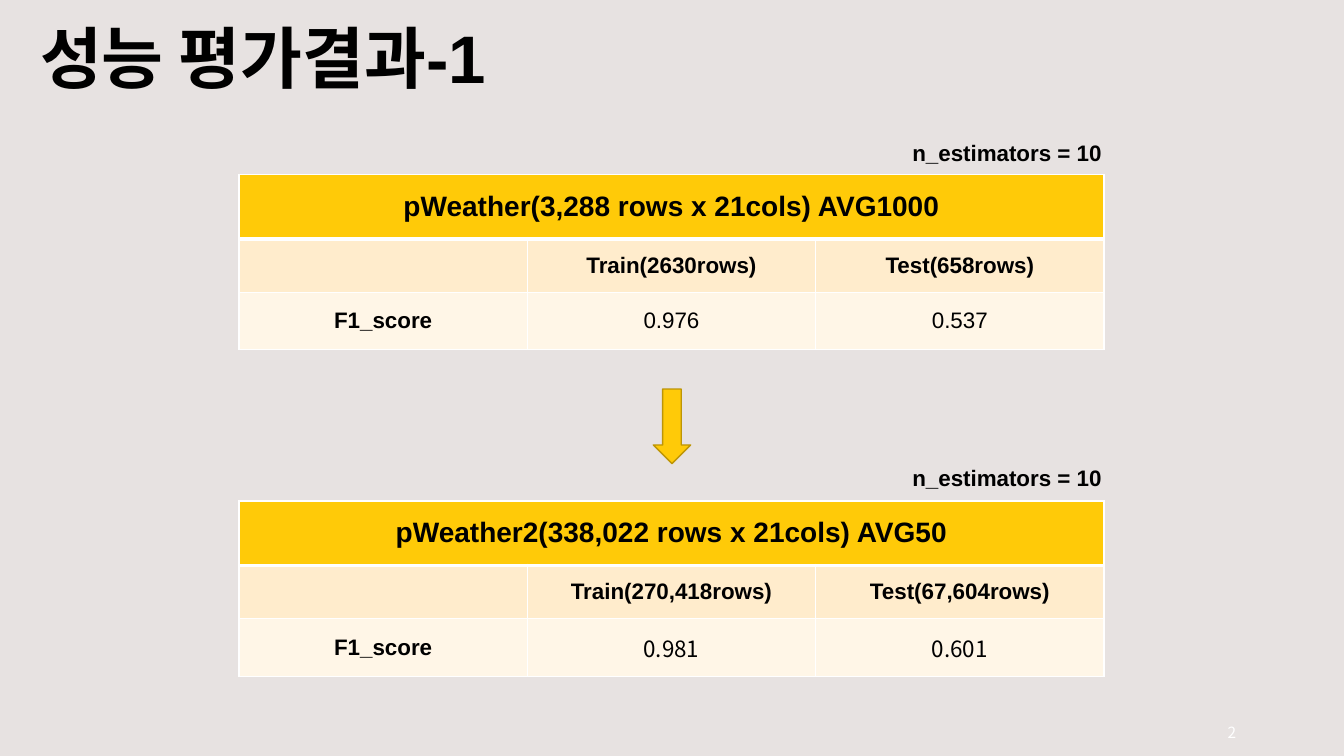
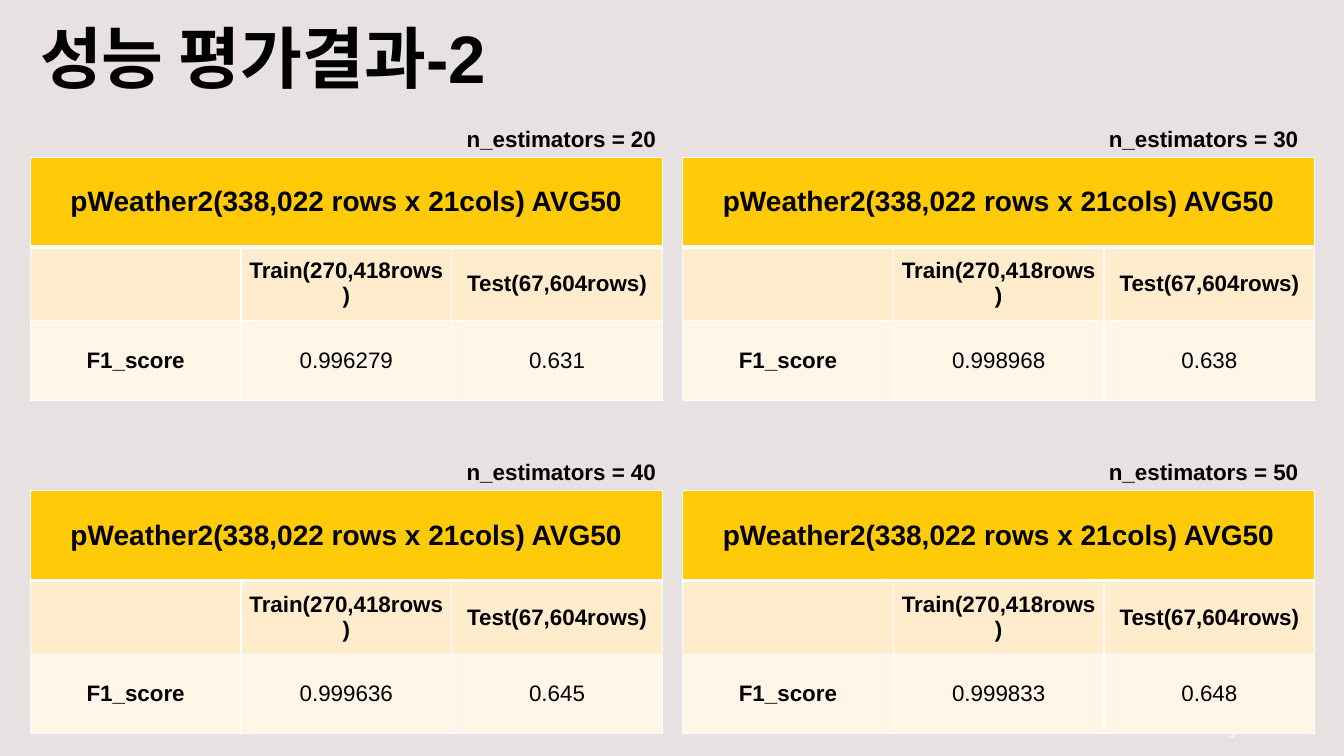
from collections import namedtuple
from lxml.etree import SubElement
from pptx import Presentation
from pptx.dml.color import RGBColor as RGB
from pptx.enum.shapes import MSO_SHAPE as SHAPE
from pptx.enum.text import MSO_ANCHOR as ANCHOR, MSO_AUTO_SIZE as AUTO, PP_ALIGN as ALIGN
from pptx.oxml import parse_xml
from pptx.oxml.ns import nsdecls, qn
from pptx.util import Pt

PX = 9144

Theme = namedtuple(
    "Theme",
    "bg ink white gold gold_edge sand cream latin asian title head body number",
)
T = Theme(
    bg=RGB.from_string("E7E2E1"),
    ink=RGB.from_string("000000"),
    white=RGB.from_string("FFFFFF"),
    gold=RGB.from_string("FFCA08"),
    gold_edge=RGB.from_string("BD9506"),
    sand=RGB.from_string("FFECCC"),
    cream=RGB.from_string("FFF6E7"),
    latin="Arial",
    asian="Noto Sans CJK KR",
    title=48,
    head=20,
    body=16,
    number=11,
)

Score = namedtuple("Score", "x y label_x label_y estimators head train test f1 font")
Page = namedtuple("Page", "title number col_w row_h scores arrow")

BIG = ("pWeather2(338,022 rows x 21cols) AVG50", "Train(270,418rows)", "Test(67,604rows)")
SMALL = ("pWeather(3,288 rows x 21cols) AVG1000", "Train(2630rows)", "Test(658rows)")

grid_scores = [
    ("0.996279", "0.631"),
    ("0.998968", "0.638"),
    ("0.999636", "0.645"),
    ("0.999833", "0.648"),
]
grid = []
for i, f1 in enumerate(grid_scores):
    row, col = divmod(i, 2)
    y = 156 + 331 * row
    grid.append(
        Score(30 + 647 * col, y, 453 + 637 * col, y - 37, 20 + 10 * i, *BIG, f1, T.latin)
    )

pages = [
    Page(
        "성능 평가결과-1", "2", 286, (64, 53, 57),
        [
            Score(237, 173, 895, 133, 10, *SMALL, ("0.976", "0.537"), T.latin),
            Score(237, 497, 895, 456, 10, *BIG, ("0.981", "0.601"), T.asian),
        ],
        (648, 386, 37, 74),
    ),
    Page("성능 평가결과-2", "3", 209, (89, 73, 79), grid, None),
]


def write(tf, text, size=T.body, bold=True, color=T.ink, font=T.latin,
          align=ALIGN.LEFT, spacing=None):
    p = tf.paragraphs[0]
    p.alignment = align
    if spacing:
        p.line_spacing = spacing
    r = p.add_run()
    r.text = text
    r.font.size = Pt(size)
    r.font.bold = bold
    r.font.color.rgb = color
    r.font.name = font
    SubElement(r.font._element, qn("a:ea")).set("typeface", T.asian)


def style_cell(cell, fill, top, bottom):
    cell.fill.solid()
    cell.fill.fore_color.rgb = fill
    cell.vertical_anchor = ANCHOR.MIDDLE
    cell.margin_left = cell.margin_right = 7 * PX
    cell.margin_top = cell.margin_bottom = 4 * PX
    tc_pr = cell._tc.get_or_add_tcPr()
    for i, (side, width) in enumerate(zip("LRTB", (1, 1, top, bottom))):
        tc_pr.insert(i, parse_xml(
            f'<a:ln{side} {nsdecls("a")} w="{Pt(width)}"><a:solidFill>'
            f'<a:srgbClr val="{T.white}"/></a:solidFill></a:ln{side}>'
        ))


prs = Presentation()
prs.slide_width = 1333 * PX
prs.slide_height = 750 * PX

for page in pages:
    s = prs.slides.add_slide(prs.slide_layouts[6])
    s.background.fill.solid()
    s.background.fill.fore_color.rgb = T.bg

    tf = s.shapes.add_textbox(1136 * PX, 707 * PX, 100 * PX, 40 * PX).text_frame
    tf.word_wrap = True
    tf.vertical_anchor = ANCHOR.MIDDLE
    write(tf, page.number, size=T.number, bold=False, color=T.white,
          font=T.asian, align=ALIGN.RIGHT)

    tf = s.shapes.add_textbox(30 * PX, 20 * PX, 1150 * PX, 83 * PX).text_frame
    tf.word_wrap = True
    tf.vertical_anchor = ANCHOR.MIDDLE
    write(tf, page.title, size=T.title, spacing=0.9)

    for score in page.scores:
        tbl = s.shapes.add_table(
            3, 3, score.x * PX, score.y * PX,
            3 * page.col_w * PX, sum(page.row_h) * PX,
        ).table
        for col in tbl.columns:
            col.width = page.col_w * PX
        for row, h in zip(tbl.rows, page.row_h):
            row.height = h * PX
        tbl.cell(0, 0).merge(tbl.cell(0, 2))

        rows = [
            (T.gold, 1, 3, (score.head, "", "")),
            (T.sand, 3, 1, ("", score.train, score.test)),
            (T.cream, 1, 1, ("F1_score", *score.f1)),
        ]
        for i, (fill, top, bottom, texts) in enumerate(rows):
            for j, text in enumerate(texts):
                cell = tbl.cell(i, j)
                style_cell(cell, fill, top, bottom)
                if text:
                    is_value = text in score.f1
                    write(cell.text_frame, text, size=T.body if i else T.head,
                          bold=not is_value, align=ALIGN.CENTER,
                          font=score.font if is_value else T.latin)

    if page.arrow:
        sp = s.shapes.add_shape(SHAPE.DOWN_ARROW, *(v * PX for v in page.arrow))
        sp.shadow.inherit = False
        sp.fill.solid()
        sp.fill.fore_color.rgb = T.gold
        sp.line.color.rgb = T.gold_edge
        sp.line.width = Pt(1)

    for score in page.scores:
        tf = s.shapes.add_textbox(
            score.label_x * PX, score.label_y * PX, 213 * PX, 37 * PX
        ).text_frame
        tf.word_wrap = False
        tf.auto_size = AUTO.SHAPE_TO_FIT_TEXT
        write(tf, f"n_estimators = {score.estimators}")

prs.save("out.pptx")
